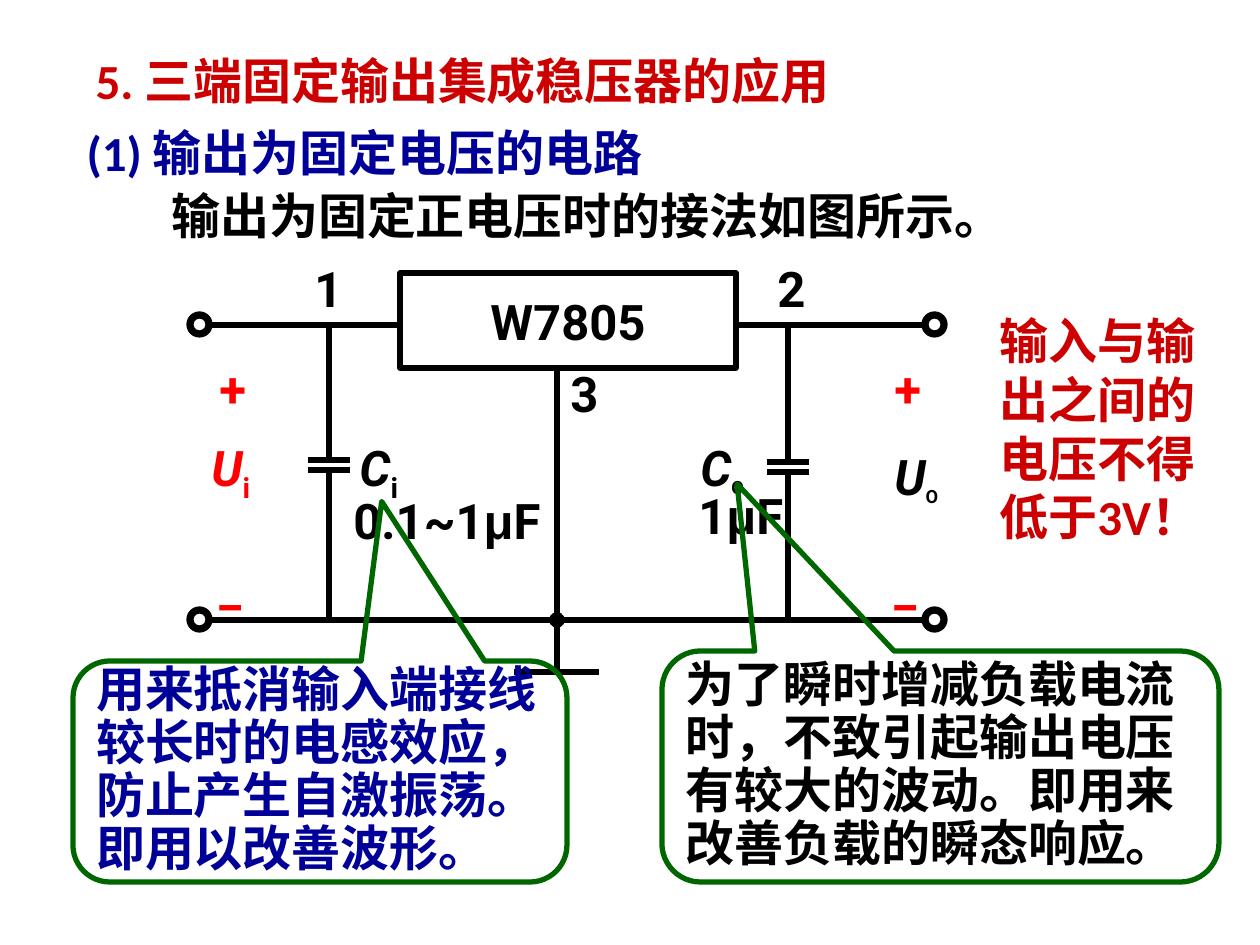
from lxml import etree
from pptx import Presentation
from pptx.dml.color import RGBColor
from pptx.enum.shapes import MSO_CONNECTOR, MSO_SHAPE
from pptx.enum.text import MSO_ANCHOR, MSO_AUTO_SIZE, PP_ALIGN
from pptx.oxml.ns import qn
from pptx.util import Emu, Pt

STRAIGHT = MSO_CONNECTOR.STRAIGHT
RECT, DONUT = MSO_SHAPE.RECTANGLE, MSO_SHAPE.DONUT
CALLOUT = MSO_SHAPE.ROUNDED_RECTANGULAR_CALLOUT
TOP, MIDDLE = MSO_ANCHOR.TOP, MSO_ANCHOR.MIDDLE
LEFT, CENTER = PP_ALIGN.LEFT, PP_ALIGN.CENTER
PX_PER_INCH = 126
CJK = "Noto Sans CJK SC"
BLACK, NAVY, CRIMSON = "000000", "000099", "CC0000"
RED, GREEN = "FF0000", "006600"


def px(n):
    return Emu(round(n * 914400 / PX_PER_INCH))


def rgb(value):
    return RGBColor.from_string(value)


def write(tf, paragraphs, font="Roboto", color=BLACK, size=28, align=LEFT,
          anchor=TOP, wrap=True, spacing=1.0, gap=0):
    """Fill a frame; a paragraph is a string or a list of (text, overrides)."""
    tf.auto_size = MSO_AUTO_SIZE.NONE
    tf.word_wrap = wrap
    tf.vertical_anchor = anchor
    for i, runs in enumerate(paragraphs):
        p = tf.add_paragraph() if i else tf.paragraphs[0]
        p.alignment, p.line_spacing = align, spacing
        p.space_before = Pt(gap if i else 0)
        for text, style in [(runs, {})] if isinstance(runs, str) else runs:
            r = p.add_run()
            r.text = text
            f = r.font
            f.name = style.get("font", font)
            f.size = Pt(style.get("size", size))
            f.bold, f.italic = True, style.get("italic", False)
            f.color.rgb = rgb(color)
            rPr = r._r.get_or_add_rPr()
            etree.SubElement(rPr, qn("a:ea")).set("typeface", CJK)
            if style.get("sub"):
                rPr.set("baseline", "-25000")


def symbol(letter, index, index_size=28):
    return [(letter, {"italic": True}),
            (index, {"sub": True, "size": index_size})]


class Circuit:
    """Draws on one slide with a shared line weight."""

    def __init__(self, slide, weight=3):
        self.slide, self.weight = slide, Pt(weight)

    def placeholder(self, index, box, paragraphs, **style):
        s = self.slide.placeholders[index]
        s.left, s.top, s.width, s.height = map(px, box)
        write(s.text_frame, paragraphs, **style)
        for p in s.text_frame.paragraphs:
            pPr = p._p.get_or_add_pPr()
            pPr.set("marL", "0")
            pPr.set("indent", "0")
            etree.SubElement(pPr, qn("a:buNone"))

    def label(self, box, paragraphs, **style):
        s = self.slide.shapes.add_textbox(*map(px, box))
        write(s.text_frame, paragraphs, **style)

    def shape(self, kind, box, adjustments=(), line=BLACK):
        s = self.slide.shapes.add_shape(kind, *map(px, box))
        s.shadow.inherit = False
        s.fill.background()
        s.line.color.rgb = rgb(line)
        s.line.width = self.weight
        for i, value in enumerate(adjustments):
            s.adjustments[i] = value
        return s

    def wire(self, x1, y1, x2, y2, dot=False):
        c = self.slide.shapes.add_connector(STRAIGHT, *map(px, (x1, y1, x2, y2)))
        c.line.color.rgb = rgb(BLACK)
        c.line.width = self.weight
        if dot:
            ln = c.line._get_or_add_ln()
            etree.SubElement(ln, qn("a:tailEnd")).set("type", "oval")
        etree.SubElement(c._element.spPr, qn("a:effectLst"))

    def terminal(self, x, y):
        self.shape(DONUT, (x - 11, y - 11, 21, 21), [0.09])

    def capacitor(self, x, top, plate, bottom):
        """Two plates 10 px apart, the upper one at y = plate."""
        self.wire(x, top, x, plate)
        self.wire(x, plate + 10, x, bottom)
        for y in (plate, plate + 10):
            self.wire(x - 21, y, x + 21, y)

    def callout(self, box, adjustments, lines, color):
        s = self.shape(CALLOUT, box, adjustments, GREEN)
        write(s.text_frame, lines, font="Calibri", color=color,
              anchor=MIDDLE, wrap=False, spacing=0.9)


def main():
    prs = Presentation()
    prs.slide_width, prs.slide_height = px(1260), px(945)
    c = Circuit(prs.slides.add_slide(prs.slide_layouts[1]))

    # Headings
    c.placeholder(0, (83, 44, 800, 72),
                  [[("5. ", {}), ("三端固定输出集成稳压器的应用", {"font": CJK})]],
                  font="Calibri", color=CRIMSON)
    c.placeholder(1, (74, 116, 605, 72), ["(1) 输出为固定电压的电路"],
                  font="Calibri", color=NAVY)
    c.label((159, 179, 880, 72), ["输出为固定正电压时的接法如图所示。"])
    c.label((987, 304, 230, 248),
            [[("输入与输出之间的电压不得低于", {}), ("3V", {"font": "Calibri"}),
              ("！", {})]],
            font=CJK, color=CRIMSON, anchor=MIDDLE)

    # Rails, terminals and regulator
    left, right, upper, lower, ground = 200, 935, 325, 620, 557
    chip = c.shape(RECT, (400, 273, 336, 95))
    write(chip.text_frame, ["W7805"], align=CENTER, anchor=MIDDLE, wrap=False)
    c.wire(400, upper, left + 10, upper)
    c.wire(736, upper, right - 11, upper)
    c.wire(left + 10, lower, right - 11, lower)
    for x in (left, right):
        for y in (upper, lower):
            c.terminal(x, y)
    c.wire(ground, 368, ground, lower, dot=True)
    c.wire(ground, lower, ground, 672)
    c.wire(ground - 43, 672, ground + 42, 672)
    c.capacitor(329, upper, 460, lower)
    c.capacitor(788, upper, 462, lower)

    # Pins, polarity and quantities
    for pin, x, y in (("1", 302, 252), ("2", 765, 252), ("3", 558, 357)):
        c.label((x, y, 60, 72), [pin])
    for x in (207, 882):
        c.label((x, 311, 60, 312), ["+", "_"], color=RED, spacing=1.7, gap=56)
    for x, y, runs, color in (
            (199, 431, symbol("U", "i"), RED),
            (347, 431, symbol("C", "i"), BLACK),
            (688, 431, symbol("C", "O", 18), BLACK),
            (882, 440, symbol("U", "O", 18), BLACK)):
        c.label((x, y, 106, 79), [runs], color=color)
    for box, value in (((341, 472, 231, 95), "0.1~1"),
                       ((686, 483, 147, 63), "1")):
        c.label(box, [[(value, {}), ("μ", {"font": "Arial"}), ("F", {})]],
                anchor=MIDDLE)

    # Explanations of the capacitors
    c.callout((662, 651, 557, 231), (-0.365, -1.223, 0.167),
              ["为了瞬时增减负载电流", "时，不致引起输出电压",
               "有较大的波动。即用来", "改善负载的瞬态响应。"], BLACK)
    c.callout((73, 661, 494, 221), (0.125, -1.222, 0.167),
              ["用来抵消输入端接线", "较长时的电感效应，",
               "防止产生自激振荡。", "即用以改善波形。"], NAVY)
    prs.save("out.pptx")


if __name__ == "__main__":
    main()
